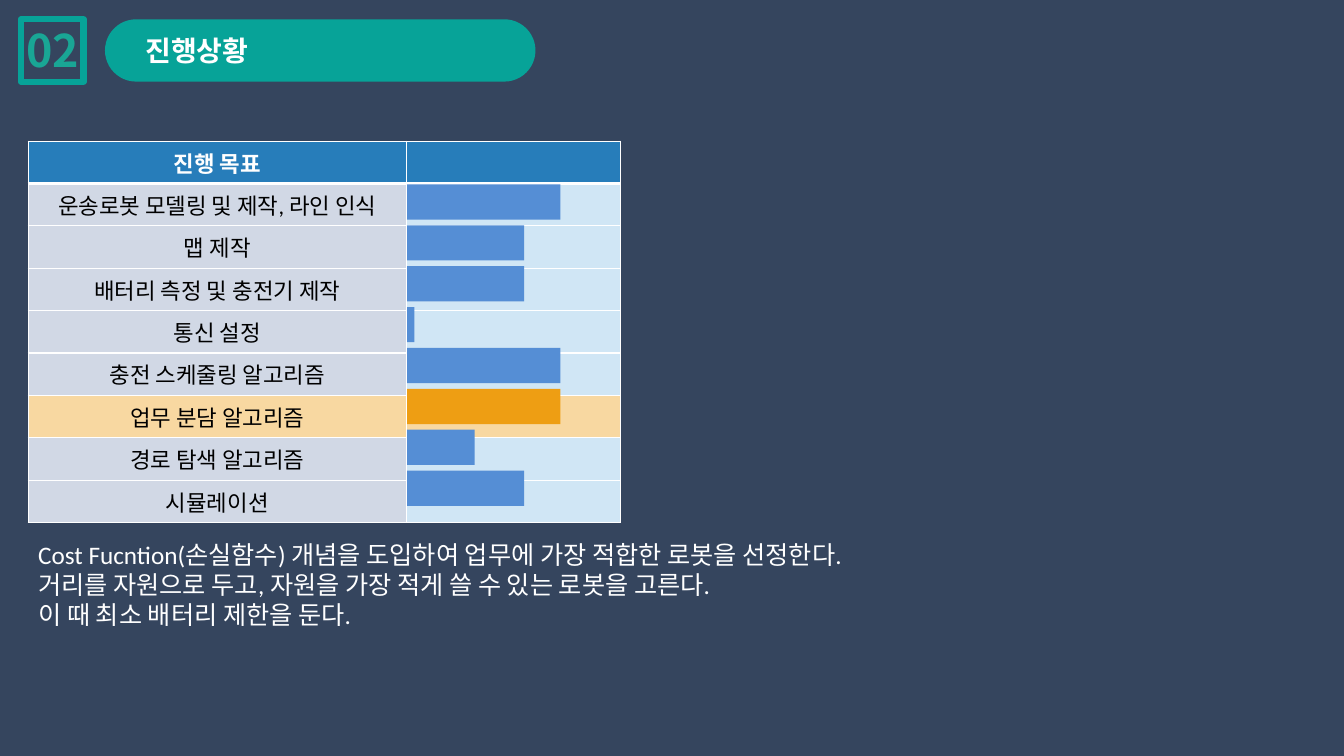
from lxml import etree
from pptx import Presentation
from pptx.dml.color import RGBColor
from pptx.enum import shapes, text
from pptx.oxml.ns import qn
from pptx.util import Pt

TEAL, WHITE, BLUE = "07A398", "FFFFFF", "558ED5"
KOREAN = "Noto Sans CJK KR"
LEFT, TOP, ROW = 20.2, 100.8, 29.2
COLUMNS = (270, 153)

# goal, length of its progress bar
GOALS = [
    ("운송로봇 모델링 및 제작, 라인 인식", 109.4),
    ("맵 제작", 83.5),
    ("배터리 측정 및 충전기 제작", 83.5),
    ("통신 설정", 5.2),
    ("충전 스케줄링 알고리즘", 109.4),
    ("업무 분담 알고리즘", 109.4),
    ("경로 탐색 알고리즘", 48.2),
    ("시뮬레이션", 83.5),
]
CURRENT = "업무 분담 알고리즘"
NOTES = [
    "Cost Fucntion(손실함수) 개념을 도입하여 업무에 가장 적합한 로봇을 선정한다.",
    "거리를 자원으로 두고, 자원을 가장 적게 쓸 수 있는 로봇을 고른다.",
    "이 때 최소 배터리 제한을 둔다.",
]


def rgb(value):
    return RGBColor.from_string(value)


def write(tf, lines, size=16, color=WHITE, bold=False, font="Calibri",
          align=text.PP_ALIGN.LEFT):
    """Fill a text frame, one paragraph for each line."""
    for i, line in enumerate(lines):
        p = tf.paragraphs[0] if i == 0 else tf.add_paragraph()
        p.alignment = align
        r = p.add_run()
        r.text = line
        r.font.size, r.font.bold, r.font.name = Pt(size), bold, font
        r.font.color.rgb = rgb(color)


def frame(sp, left=7.2, right=7.2, anchor=text.MSO_ANCHOR.MIDDLE, wrap=True):
    tf = sp.text_frame
    tf.word_wrap, tf.vertical_anchor = wrap, anchor
    tf.auto_size = text.MSO_AUTO_SIZE.NONE
    tf.margin_left, tf.margin_right = Pt(left), Pt(right)
    tf.margin_top = tf.margin_bottom = Pt(3.6)
    return tf


def add_box(s, box, fill=None, line=None, kind=shapes.MSO_SHAPE.RECTANGLE):
    sp = s.shapes.add_shape(kind, *map(Pt, box))
    sp.shadow.inherit = False
    if fill:
        sp.fill.solid()
        sp.fill.fore_color.rgb = rgb(fill)
    else:
        sp.fill.background()
    if line:
        sp.line.color.rgb, sp.line.width = rgb(line), Pt(4.5)
    else:
        sp.line.fill.background()
    return sp


def style_cell(cell, fill, bottom=1):
    # Borders come before the fill in the cell properties
    props = cell._tc.get_or_add_tcPr()
    for side, width in (("L", 1), ("R", 1), ("T", 1), ("B", bottom)):
        ln = etree.SubElement(props, qn(f"a:ln{side}"), w=str(Pt(width)))
        solid = etree.SubElement(ln, qn("a:solidFill"))
        etree.SubElement(solid, qn("a:srgbClr"), val=WHITE)
    cell.fill.solid()
    cell.fill.fore_color.rgb = rgb(fill)


def add_header(s):
    pill = add_box(s, (75, 13.8, 307.5, 44.5), TEAL,
                   kind=shapes.MSO_SHAPE.ROUNDED_RECTANGLE)
    pill.adjustments[0] = 0.5
    add_box(s, (15, 13.8, 44.6, 44.6), line=TEAL)

    number = s.shapes.add_textbox(Pt(0), Pt(12.2), Pt(75.6), Pt(46))
    write(frame(number, 8.6, 8.6), ["02"], 32, "19A695", True, KOREAN,
          text.PP_ALIGN.CENTER)

    # The title lies on the pill, so it goes in front of it
    title = s.shapes.title
    title.left, title.top = pill.left, pill.top
    title.width, title.height = pill.width, pill.height
    write(frame(title, 28.8), ["진행상황"], 20, bold=True, font=KOREAN)
    s.shapes._spTree.append(title._element)


def add_progress(s):
    rows = len(GOALS) + 1
    table = s.shapes.add_table(rows, 2, Pt(LEFT), Pt(TOP), Pt(sum(COLUMNS)),
                               Pt(ROW * rows)).table
    for column, width in zip(table.columns, COLUMNS):
        column.width = Pt(width)
    for row in table.rows:
        row.height = Pt(ROW)

    # Heading row
    for cell in table.rows[0].cells:
        style_cell(cell, "277DBA", bottom=3)
    write(table.cell(0, 0).text_frame, ["진행 목표"], bold=True,
          align=text.PP_ALIGN.CENTER)

    # One row and one bar for each goal
    for i, (goal, length) in enumerate(GOALS, 1):
        current = goal == CURRENT
        fills = ("F8D8A1", "F8D8A1") if current else ("D1D8E5", "D0E6F5")
        for cell, fill in zip(table.rows[i].cells, fills):
            style_cell(cell, fill)
        write(table.cell(i, 0).text_frame, [goal], color="000000",
              align=text.PP_ALIGN.CENTER)
        add_box(s, (LEFT + COLUMNS[0] + 0.7, TOP + ROW * i + 1.7, length, 25.2),
                "EE9E13" if current else BLUE)


def add_notes(s):
    sp = s.shapes.add_textbox(Pt(LEFT), Pt(381.6), Pt(651), Pt(72.7))
    write(frame(sp, anchor=text.MSO_ANCHOR.TOP, wrap=False), NOTES, 18)


def main():
    prs = Presentation()
    prs.slide_width, prs.slide_height = Pt(960), Pt(540)
    s = prs.slides.add_slide(prs.slide_layouts[5])
    s.background.fill.solid()
    s.background.fill.fore_color.rgb = rgb("35455E")
    add_header(s)
    add_progress(s)
    add_notes(s)
    prs.save("out.pptx")


if __name__ == "__main__":
    main()
